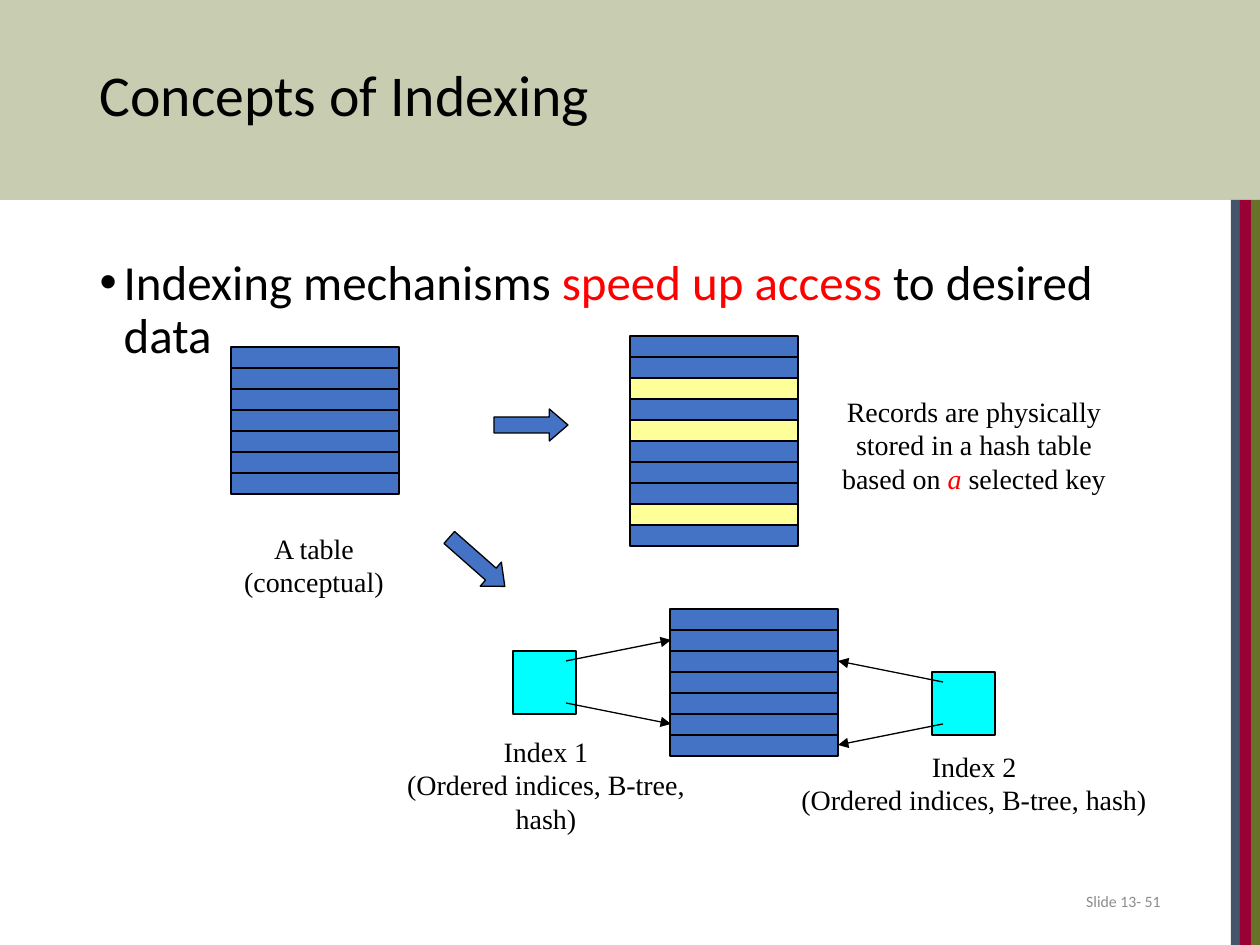
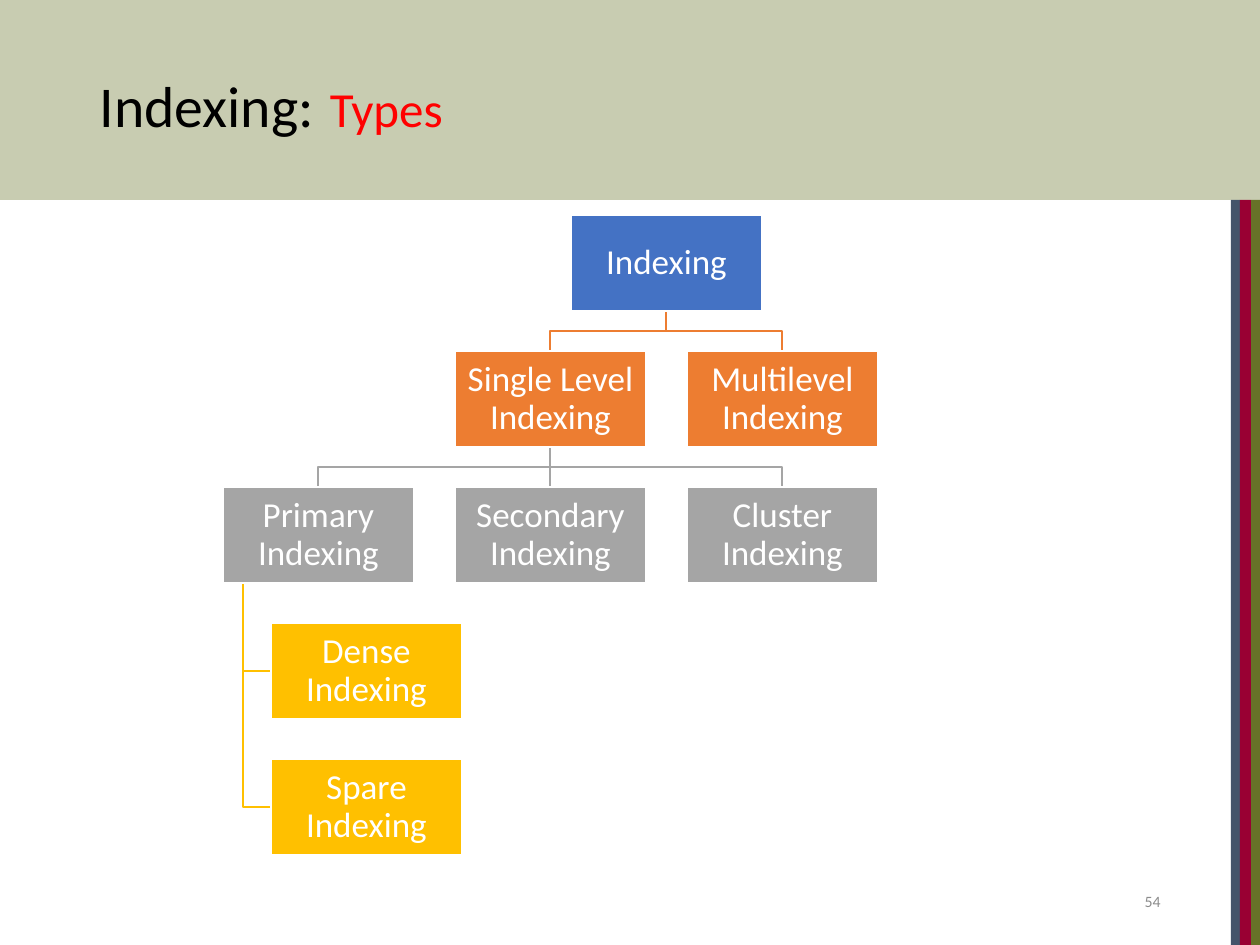
import lxml.etree
import pptx
import pptx.dml.color
import pptx.enum.shapes
import pptx.enum.text
import pptx.oxml.ns
import pptx.util

SCALE = 914400 / 126  # EMU per px
WIDE, HIGH = 1260, 945
BAND = 200
BLACK, WHITE, RED = "000000", "FFFFFF", "FF0000"
BLUE, ORANGE, GREY, GOLD = "4472C4", "ED7D31", "A5A5A5", "FFC000"
OLIVE, SLATE, WINE = "677228", "44546A", "990033"
CYAN, PALE, DIM = "00FFFF", "FFFF99", "8C8C8C"
SANS, SERIF = "Calibri", "Times New Roman"
ROW = 21  # height of one record
RECORD = 168  # width of one record

KIND = pptx.enum.shapes.MSO_SHAPE
ALIGN = pptx.enum.text.PP_ALIGN
MIDDLE = pptx.enum.text.MSO_ANCHOR.MIDDLE
qn = pptx.oxml.ns.qn


def emu(*sizes):
    return [pptx.util.Emu(round(size * SCALE)) for size in sizes]


def tint(code):
    return pptx.dml.color.RGBColor.from_string(code)


def write(para, runs, font, size, color):
    """Each run is (text, changes), where changes may set size, color, italic."""
    for text, change in runs:
        run = para.add_run()
        run.text = text
        run.font.name = font
        run.font.size = pptx.util.Pt(change.get("size", size))
        run.font.color.rgb = tint(change.get("color", color))
        if change.get("italic"):
            run.font.italic = True


def block(slide, box, fill, line=None, width=0.75, kind=KIND.RECTANGLE):
    shape = slide.shapes.add_shape(kind, *emu(*box))
    shape.shadow.inherit = False
    shape.fill.solid()
    shape.fill.fore_color.rgb = tint(fill)
    if line:
        shape.line.color.rgb = tint(line)
        shape.line.width = pptx.util.Pt(width)
    else:
        shape.line.fill.background()
    return shape


def wire(slide, start, end, color=BLACK, width=0.75, head=False):
    line = slide.shapes.add_connector(
        pptx.enum.shapes.MSO_CONNECTOR.STRAIGHT, *emu(*start, *end))
    line.line.color.rgb = tint(color)
    line.line.width = pptx.util.Pt(width)
    props = line.element.spPr
    if head:
        lxml.etree.SubElement(props.find(qn("a:ln")), qn("a:tailEnd"), type="triangle")
    lxml.etree.SubElement(props, qn("a:effectLst"))


def label(slide, box, lines, font=SERIF, size=16, color=BLACK,
          align=ALIGN.CENTER, wrap=True):
    frame = slide.shapes.add_textbox(*emu(*box)).text_frame
    frame.word_wrap = wrap
    for i, runs in enumerate(lines):
        para = frame.add_paragraph() if i else frame.paragraphs[0]
        para.alignment = align
        write(para, runs, font, size, color)
    return frame


# Shared look
def backdrop(slide, master):
    """Draw the band and side stripes, then hand them to the master."""
    band = block(slide, (0, 0, WIDE, BAND), OLIVE)
    clear = band.element.spPr.find(".//" + qn("a:srgbClr"))
    lxml.etree.SubElement(clear, qn("a:alpha"), val="36000")
    parts = [band]
    for left, right, color in ((1231, 1240, SLATE), (1240, 1251, WINE),
                               (1251, WIDE, OLIVE)):
        parts.append(block(slide, (left, BAND, right - left, HIGH - BAND), color))
    for part in parts:
        master.shapes.element.append(part.element)


def place(shape, box):
    shape.left, shape.top, shape.width, shape.height = emu(*box)
    frame = shape.text_frame
    frame.word_wrap = True
    frame.auto_size = pptx.enum.text.MSO_AUTO_SIZE.NONE
    para = frame.paragraphs[0]
    para.alignment = ALIGN.LEFT
    para.line_spacing = 0.9
    para.space_before = pptx.util.Pt(0)
    return frame, para


def heading(slide, top, runs):
    frame, para = place(slide.shapes.title, (87, top, 1086, 183))
    frame.vertical_anchor = MIDDLE
    write(para, runs, SANS, 33, BLACK)


def footer(slide, text):
    frame = label(slide, (890, 876, 283, 50), [[(text, {})]], SANS, 9, DIM, ALIGN.RIGHT)
    frame.vertical_anchor = MIDDLE


# Parts of the concepts slide
def bullet(slide, box, runs):
    para = place(slide.placeholders[1], box)[1]
    props = para._p.get_or_add_pPr()
    indent = emu(24)[0]
    props.set("marL", str(indent))
    props.set("indent", str(-indent))
    write(para, runs, SANS, 28, BLACK)


def records(slide, left, top, count, marked=()):
    block(slide, (left, top, RECORD, count * ROW), BLUE, BLACK)
    for i in range(1, count):
        y = top + i * ROW
        wire(slide, (left, y), (left + RECORD, y))
    for i in marked:
        block(slide, (left, top + i * ROW, RECORD, ROW), PALE, BLACK)


def index(slide, left, top, side):
    """A square with two pointers; side is 1 for right, -1 for left."""
    block(slide, (left, top, 63, 63), CYAN, BLACK)
    x = left + 32 + side * 21
    for y, slope in ((top + 10, -ROW), (top + 52, ROW)):
        wire(slide, (x, y), (x + side * 105, y + slope), head=True)


def arrow(slide, left, top, turn=0):
    shape = block(slide, (left, top, 74, 32), BLUE, BLACK, kind=KIND.RIGHT_ARROW)
    shape.adjustments[0] = 0.5
    shape.adjustments[1] = 0.58
    shape.rotation = turn


def concepts(slide):
    heading(slide, 6, [("Concepts of Indexing", {})])
    bullet(slide, (87, 252, 1086, 600), [
        ("Indexing mechanisms ", {}),
        ("speed up access", {"color": RED}),
        (" to desired data", {})])
    # Conceptual table
    records(slide, 231, 347, 7)
    label(slide, (231, 525, 166, 81),
          [[("A table", {})], [("(conceptual)", {})]], wrap=False)
    # Hash table
    arrow(slide, 494, 409)
    records(slide, 630, 336, 10, (2, 4, 8))
    label(slide, (829, 388, 290, 114), [
        [("Records are physically", {})],
        [("stored in a hash table", {})],
        [("based on ", {}), ("a", {"color": RED, "italic": True}),
         (" selected key", {})]], wrap=False)
    # Table with two indexes
    arrow(slide, 440, 546, 41.4)
    records(slide, 670, 609, 7)
    index(slide, 513, 651, 1)
    index(slide, 932, 672, -1)
    for name, box in (("Index 1", (364, 728, 364, 81)),
                      ("Index 2", (781, 743, 386, 81))):
        label(slide, box, [[(name, {})], [("(Ordered indices, B-tree, hash)", {})]])
    footer(slide, "Slide 13- 51")


# Parts of the types slide
NODE = (191, 96)
STEP = (232, 136)
HANG = 48  # shift of a node hung below its parent
# name: (text, column, row, colour, parent)
NODES = {
    "root": ("Indexing", 1.5, 0, BLUE, None),
    "single": ("Single Level Indexing", 1, 1, ORANGE, "root"),
    "multi": ("Multilevel Indexing", 2, 1, ORANGE, "root"),
    "first": ("Primary Indexing", 0, 2, GREY, "single"),
    "second": ("Secondary Indexing", 1, 2, GREY, "single"),
    "cluster": ("Cluster Indexing", 2, 2, GREY, "single"),
    "dense": ("Dense Indexing", 0, 3, GOLD, "first"),
    "spare": ("Spare Indexing", 0, 4, GOLD, "first"),
}


def bend(slide, points, color):
    start, *rest = points
    maker = slide.shapes.build_freeform(*start, scale=SCALE)
    maker.add_line_segments(rest, close=False)
    shape = maker.convert_to_shape()
    shape.shadow.inherit = False
    shape.fill.background()
    shape.line.color.rgb = tint(color)
    shape.line.width = pptx.util.Pt(1)


def link(slide, above, below, hung, color):
    wide, high = NODE
    base = above[1] + high
    if hung:
        x, y = above[0] + 20, below[1] + high // 2
        bend(slide, [(x, base), (x, y), (below[0], y)], color)
        return
    start, end = above[0] + wide // 2, below[0] + wide // 2
    mid = (base + below[1]) // 2
    if start == end:
        wire(slide, (start, base), (end, below[1]), color, 1)
    else:
        bend(slide, [(start, base), (start, mid), (end, mid), (end, below[1])], color)


def node(slide, spot, text, color):
    shape = block(slide, (*spot, *NODE), color, WHITE, 1)
    frame = shape.text_frame
    frame.word_wrap = True
    frame.vertical_anchor = MIDDLE
    inset = emu(1)[0]
    frame.margin_left = frame.margin_right = inset
    frame.margin_top = frame.margin_bottom = inset
    para = frame.paragraphs[0]
    para.alignment = ALIGN.CENTER
    para.line_spacing = 0.9
    write(para, [(text, {})], SANS, 20, WHITE)


def tree(slide, left, top):
    spots = {}
    for name, (_, col, row, color, _) in NODES.items():
        shift = HANG if color == GOLD else 0
        spots[name] = (left + round(col * STEP[0]) + shift, top + row * STEP[1])
    for name, (_, _, _, color, parent) in NODES.items():
        if parent:
            link(slide, spots[parent], spots[name], color == GOLD, color)
    for name, (text, _, _, color, _) in NODES.items():
        node(slide, spots[name], text, color)


def types(slide):
    heading(slide, 13, [("Indexing:", {}), (" ", {"size": 40}),
                        ("Types", {"size": 28, "color": RED})])
    tree(slide, 223, 215)
    footer(slide, "54")


def main():
    deck = pptx.Presentation()
    deck.slide_width, deck.slide_height = emu(WIDE, HIGH)
    layouts = deck.slide_layouts
    first = deck.slides.add_slide(layouts[1])
    backdrop(first, deck.slide_master)
    concepts(first)
    types(deck.slides.add_slide(layouts[5]))
    deck.save("out.pptx")


if __name__ == "__main__":
    main()
